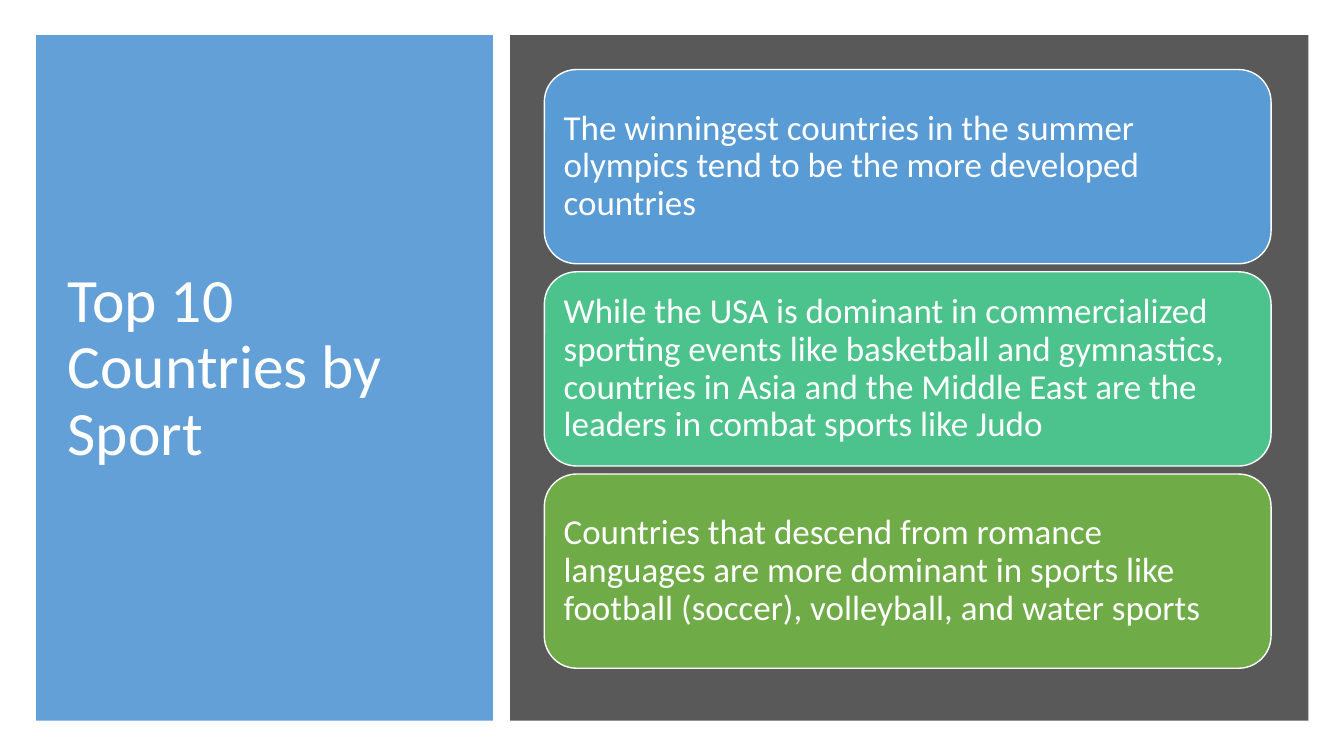
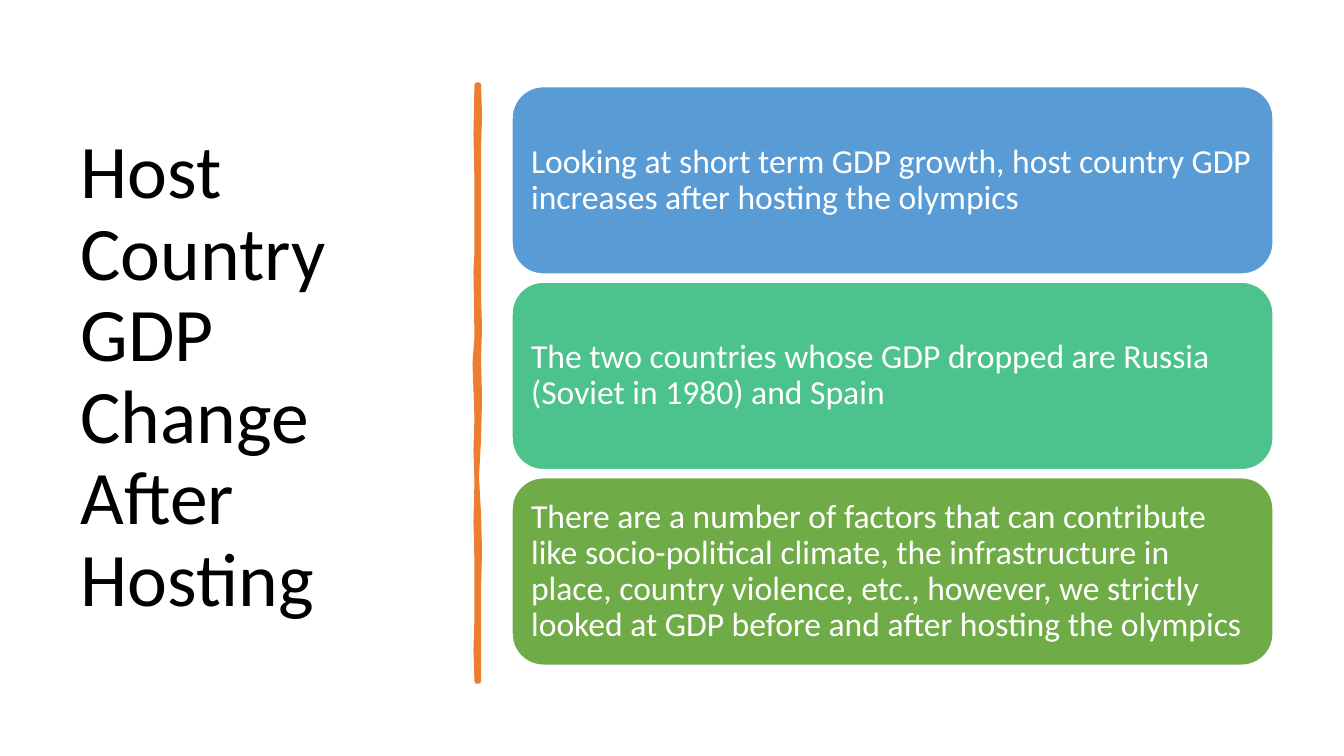
"""Builds two slides on Olympic results and host country GDP."""
from pptx import Presentation
from pptx.dml.color import RGBColor
from pptx.enum.shapes import MSO_SHAPE as Preset
from pptx.enum.text import MSO_ANCHOR as Anchor, MSO_AUTO_SIZE as AutoSize, PP_ALIGN as Align
from pptx.oxml.ns import qn
from pptx.util import Inches, Pt
from lxml.etree import SubElement

FONT = "Calibri"
WHITE, BLACK, GREY, BLUE, ORANGE = "FFFFFF", "000000", "595959", "5B9BD5", "ED7D31"
CARD_COLOURS = ("599BD5", "4CC38C", "6FAB46")
CARD_GAP = 0.08
STROKE_OUTLINE = (
    (4.75, 0.84), (4.76, 1.15), (4.75, 1.46), (4.75, 2.26), (4.75, 2.94), (4.76, 3.25),
    (4.75, 3.56), (4.76, 3.96), (4.75, 4.36), (4.73, 4.73), (4.75, 5.1), (4.76, 5.47),
    (4.75, 5.84), (4.75, 6.76), (4.73, 6.76), (4.72, 6.45), (4.73, 6.13), (4.73, 5.57),
    (4.72, 5.17), (4.73, 4.77), (4.72, 4.46), (4.73, 4.15), (4.71, 3.6), (4.73, 3.35),
    (4.72, 2.69), (4.73, 2.5), (4.73, 1.81), (4.72, 1.33), (4.73, 0.84),
)


def colour(value):
    return RGBColor.from_string(value)


def write_text(shape, text, size, color=WHITE, inset=0.1):
    frame = shape.text_frame
    frame.text = text
    frame.word_wrap = True
    frame.auto_size = AutoSize.NONE
    frame.vertical_anchor = Anchor.MIDDLE
    frame.margin_left = frame.margin_right = Inches(0.1)
    frame.margin_top = frame.margin_bottom = Inches(inset)
    paragraph = frame.paragraphs[0]
    paragraph.alignment = Align.LEFT
    paragraph.line_spacing = 0.9
    font = paragraph.runs[0].font
    font.name = FONT
    font.size = Pt(size)
    font.color.rgb = colour(color)


class Deck:
    def __init__(self):
        self.presentation = Presentation()
        self.presentation.slide_width = Inches(40 / 3)
        self.presentation.slide_height = Inches(7.5)
        self.slide = None

    def add_slide(self):
        self.slide = self.presentation.slides.add_slide(self.presentation.slide_layouts[5])

    def style(self, shape, fill, line=None, width=1):
        shape.shadow.inherit = False
        shape.fill.solid()
        shape.fill.fore_color.rgb = colour(fill)
        if line:
            shape.line.color.rgb = colour(line)
            shape.line.width = Pt(width)
        else:
            shape.line.fill.background()
        return shape

    def add_shape(self, preset, box, fill, line=None):
        shape = self.slide.shapes.add_shape(preset, *map(Inches, box))
        return self.style(shape, fill, line)

    def add_panel(self, box, fill, opacity=100):
        panel = self.add_shape(Preset.RECTANGLE, box, fill)
        if opacity < 100:
            color = panel.element.spPr.find(qn("a:solidFill"))[0]
            SubElement(color, qn("a:alpha"), val=str(opacity * 1000))

    def add_title(self, text, box, **text_format):
        title = self.slide.shapes.title
        title.left, title.top, title.width, title.height = map(Inches, box)
        write_text(title, text, inset=0.05, **text_format)
        title.element.getparent().append(title.element)

    def add_cards(self, texts, box, size):
        left, top, width, total = box
        height = (total - CARD_GAP * (len(texts) - 1)) / len(texts)
        for index, (text, fill) in enumerate(zip(texts, CARD_COLOURS)):
            card_top = top + index * (height + CARD_GAP)
            card = self.add_shape(Preset.ROUNDED_RECTANGLE, (left, card_top, width, height), fill, WHITE)
            write_text(card, text, size)

    def add_brush_stroke(self):
        start, *points = [(Inches(x), Inches(y)) for x, y in STROKE_OUTLINE]
        builder = self.slide.shapes.build_freeform(*start)
        builder.add_line_segments(points, close=True)
        stroke = self.style(builder.convert_to_shape(), ORANGE, ORANGE, 3.25)
        SubElement(stroke.element.spPr.find(qn("a:ln")), qn("a:round"))


def main():
    deck = Deck()

    deck.add_slide()
    deck.add_panel((0.36, 0.35, 4.53, 6.8), BLUE, opacity=95)
    deck.add_title("Top 10 Countries by Sport", (0.57, 0.64, 4.07, 6.04), size=44)
    deck.add_panel((5.06, 0.35, 7.92, 6.8), GREY)
    deck.add_cards((
        "The winningest countries in the summer olympics tend to be the more developed countries",
        "While the USA is dominant in commercialized sporting events like basketball and gymnastics, "
        "countries in Asia and the Middle East are the leaders in combat sports like Judo",
        "Countries that descend from romance languages are more dominant in sports like "
        "football (soccer), volleyball, and water sports",
    ), (5.4, 0.69, 7.21, 5.94), size=25)

    deck.add_slide()
    deck.add_title("Host Country GDP Change After Hosting", (0.7, 0.7, 3.74, 6.1), size=54, color=BLACK)
    deck.add_brush_stroke()
    deck.add_cards((
        "Looking at short term GDP growth, host country GDP increases after hosting the olympics",
        "The two countries whose GDP dropped are Russia (Soviet in 1980) and Spain",
        "There are a number of factors that can contribute like socio-political climate, "
        "the infrastructure in place, country violence, etc., however, we strictly looked at GDP "
        "before and after hosting the olympics",
    ), (5.08, 0.86, 7.55, 5.74), size=24)

    deck.presentation.save("out.pptx")


if __name__ == "__main__":
    main()
